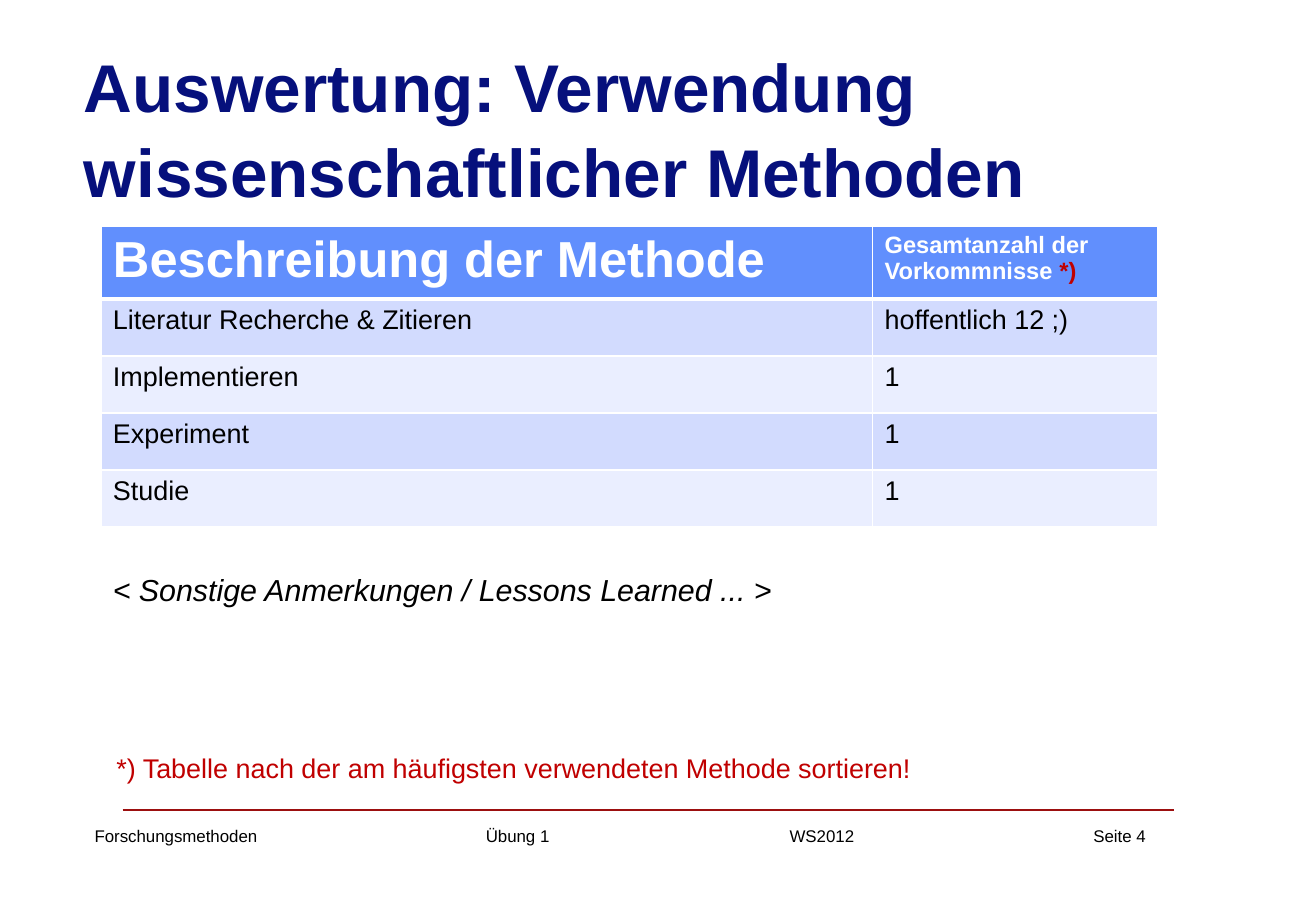
from lxml import etree
from pptx import Presentation
from pptx import util as u
from pptx.dml import color
from pptx.enum import shapes, text
from pptx.oxml import ns

FONT = "Arial"
BLACK, WHITE, NAVY, RED = "000000", "FFFFFF", "06107C", "C00000"
HEADER_FILL, BAND_FILLS = "618FFD", ("D2DBFE", "EAEEFF")
FOOTER = ("Forschungsmethoden", "Übung 1", "WS2012", "Seite 4")
FOOTER_TABS = (3.22, 5.72, 8.22)
METHODS = (
    ("Literatur Recherche & Zitieren", "hoffentlich 12 ;)"),
    ("Implementieren", "1"),
    ("Experiment", "1"),
    ("Studie", "1"),
)


def rgb(value):
    """Turn a hex string into a colour."""
    return color.RGBColor.from_string(value)


def add_span(para, words, size, ink, bold=False, italic=False):
    """Add one formatted run to a paragraph."""
    span = para.add_run()
    span.text = words
    font = span.font
    font.name, font.size, font.bold, font.italic = FONT, u.Pt(size), bold, italic
    font.color.rgb = rgb(ink)


def add_title(page, words):
    """Place and format the title placeholder."""
    title = page.shapes.title
    title.left, title.top = u.Inches(0.59), u.Inches(0.58)
    title.width, title.height = u.Inches(8.67), u.Inches(0.92)
    frame = title.text_frame
    frame.word_wrap = True
    frame.auto_size = text.MSO_AUTO_SIZE.NONE
    frame.vertical_anchor = text.MSO_ANCHOR.MIDDLE
    para = frame.paragraphs[0]
    para.alignment = text.PP_ALIGN.LEFT
    para.line_spacing = 1.05
    add_span(para, words, 40, NAVY, bold=True)


def add_text(page, place, words, size, ink, wrap=True, italic=False):
    """Add a text box with one run and return its paragraph."""
    box = page.shapes.add_textbox(*map(u.Inches, place))
    box.text_frame.word_wrap = wrap
    para = box.text_frame.paragraphs[0]
    add_span(para, words, size, ink, italic=italic)
    return para


def set_tabs(para, stops):
    """Give a paragraph left tab stops, in inches."""
    tabs = etree.SubElement(para._p.get_or_add_pPr(), ns.qn("a:tabLst"))
    for stop in stops:
        etree.SubElement(tabs, ns.qn("a:tab"), pos=str(u.Inches(stop)), algn="l")


def add_rule(page, left, right, top):
    """Draw the thin line above the footer."""
    rule = page.shapes.add_connector(
        shapes.MSO_CONNECTOR.STRAIGHT,
        u.Inches(left), u.Inches(top), u.Inches(right), u.Inches(top))
    rule.line.color.rgb = rgb("9C0F0F")
    rule.line.width = u.Pt(1)
    etree.SubElement(rule._element.spPr, ns.qn("a:effectLst"))


def set_borders(cell, **widths):
    """Draw white cell borders with the given widths in points."""
    props = cell._tc.get_or_add_tcPr()
    for index, (side, width) in enumerate(widths.items()):
        edge = etree.Element(ns.qn(f"a:ln{side}"), w=str(u.Pt(width)))
        fill = etree.SubElement(edge, ns.qn("a:solidFill"))
        etree.SubElement(fill, ns.qn("a:srgbClr"), val=WHITE)
        props.insert(index, edge)


def fill_cell(cell, fill, spans, top=1, bottom=1):
    """Fill a cell, write its runs and draw its borders."""
    cell.fill.solid()
    cell.fill.fore_color.rgb = rgb(fill)
    for span in spans:
        add_span(cell.text_frame.paragraphs[0], *span)
    set_borders(cell, L=1, R=1, T=top, B=bottom)


def add_methods_table(page):
    """Add the table of methods and their counts."""
    frame = page.shapes.add_table(
        len(METHODS) + 1, 2,
        u.Inches(0.83), u.Inches(1.86), u.Inches(8.7), u.Inches(2.45))
    table = frame.table
    table.horz_banding = False
    for column, width in zip(table.columns, (6.35, 2.35)):
        column.width = u.Inches(width)
    for index, row in enumerate(table.rows):
        row.height = u.Inches(0.47 if index else 0.57)
    headings = (
        [("Beschreibung der Methode", 30, WHITE, True)],
        [("Gesamtanzahl der Vorkommnisse ", 14, WHITE, True), ("*)", 14, RED, True)],
    )
    for column, spans in enumerate(headings):
        fill_cell(table.cell(0, column), HEADER_FILL, spans, bottom=3)
    for row, method in enumerate(METHODS, 1):
        for column, words in enumerate(method):
            fill_cell(table.cell(row, column), BAND_FILLS[(row - 1) % 2],
                      [(words, 16, BLACK)], top=3 if row == 1 else 1)


def main():
    """Build the slide and save the deck."""
    deck = Presentation()
    deck.slide_width, deck.slide_height = u.Inches(10.83), u.Inches(7.5)
    page = deck.slides.add_slide(deck.slide_layouts[5])
    add_rule(page, 1.01, 9.66, 6.67)
    footer = add_text(page, (0.68, 6.75, 9.84, 0.27), "\t".join(FOOTER), 10, BLACK)
    set_tabs(footer, FOOTER_TABS)
    add_title(page, "Auswertung: Verwendung wissenschaftlicher Methoden")
    add_methods_table(page)
    add_text(page, (0.86, 6.14, 8.73, 0.37),
             "*) Tabelle nach der am häufigsten verwendeten Methode sortieren!", 16, RED)
    add_text(page, (0.83, 4.65, 5.68, 0.4),
             "< Sonstige Anmerkungen / Lessons Learned ... >", 18, BLACK,
             wrap=False, italic=True)
    deck.save("out.pptx")


if __name__ == "__main__":
    main()
